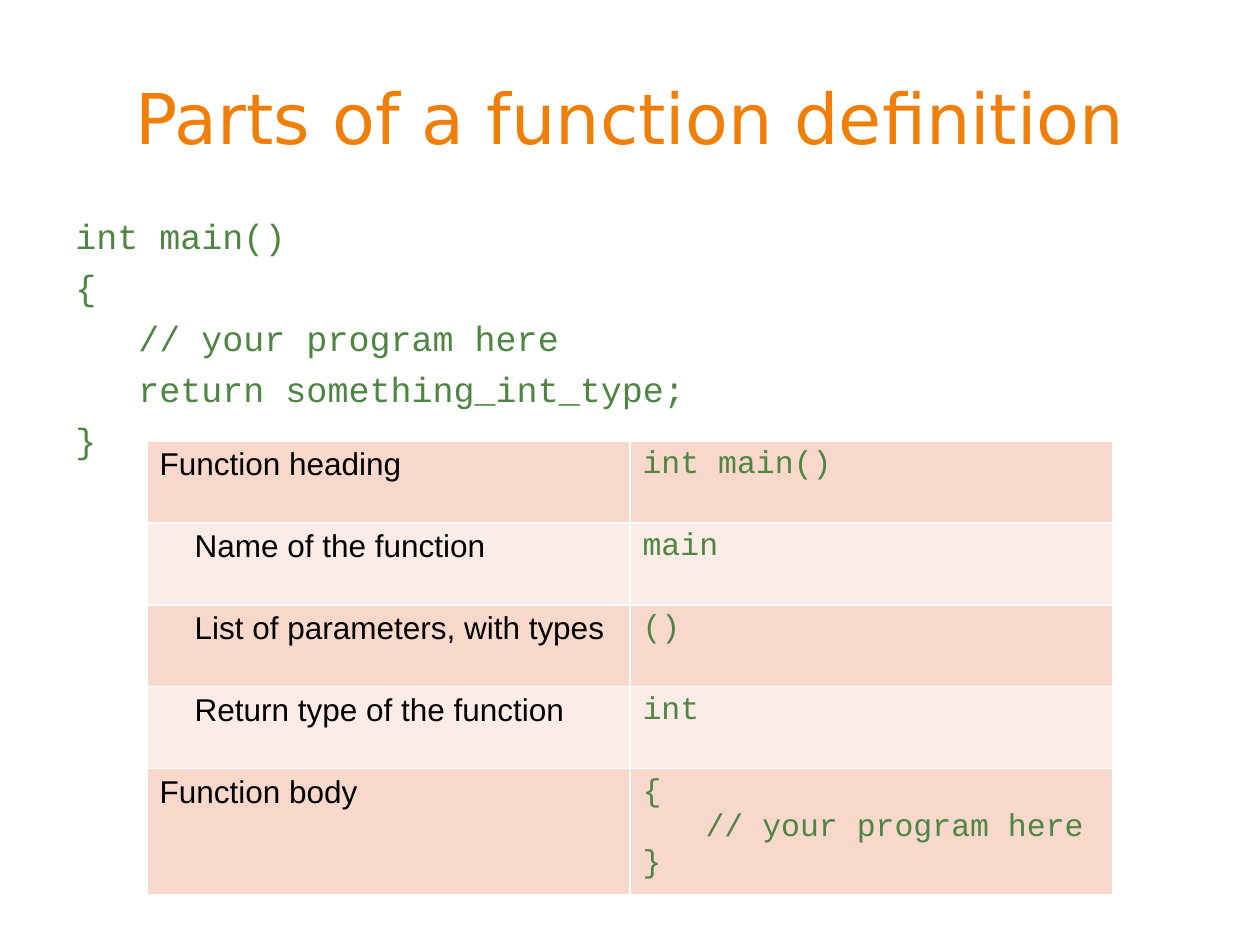
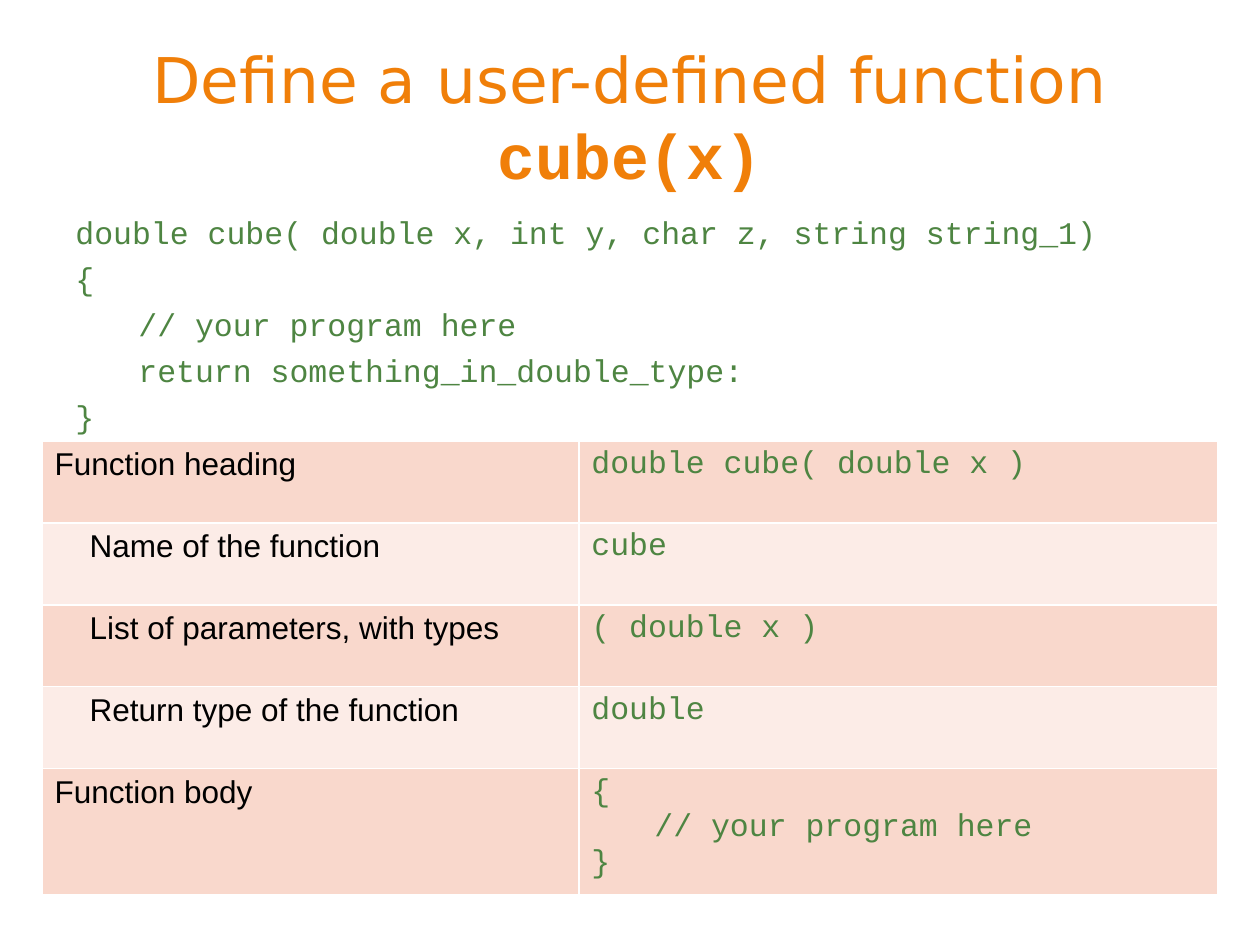
from lxml import etree
from pptx import Presentation
from pptx.dml.color import RGBColor
from pptx.enum import text
from pptx.oxml import ns
from pptx.util import Pt

# Shared look
ORANGE, GREEN, BLACK, WHITE = "F07F09", "4E8542", "000000", "FFFFFF"
BANDS = ("F9D8CC", "FCECE7")
TITLE_FONT, LABEL_FONT, CODE_FONT = "DejaVu Sans", "Arial", "Courier New"
MARGIN, CONTENT_WIDTH = 36, 648
CODE_TOP = 113.76
TABLE_TOP, ROW_HEIGHT, TABLE_SIZE = 252, 46.8, 18
CODE_INDENT, LABEL_INDENT = 36, 20
CODE_GAP = 0.26  # paragraph gap as a share of the text size

# Row labels with their indents
LABELS = [
    ("Function heading", 0),
    ("Name of the function", LABEL_INDENT),
    ("List of parameters, with types", LABEL_INDENT),
    ("Return type of the function", LABEL_INDENT),
    ("Function body", 0),
]
BODY_LINES = [("{", 0), ("// your program here", CODE_INDENT), ("}", 0)]


def color(hex_code):
    return RGBColor.from_string(hex_code)


def add_span(para, words, font, size, hex_code, bold=False):
    span = para.add_run()
    span.text = words
    span.font.name = font
    span.font.size = Pt(size)
    span.font.bold = bold
    span.font.color.rgb = color(hex_code)


def add_lines(frame, lines, font, size, hex_code, gap=0):
    """Write one paragraph per (words, indent) pair."""
    for index, (words, indent) in enumerate(lines):
        para = frame.add_paragraph() if index else frame.paragraphs[0]
        para.space_before = Pt(gap if index else 0)
        props = para._p.get_or_add_pPr()
        props.set("marL", str(Pt(indent)))
        props.set("indent", "0")
        add_span(para, words, font, size, hex_code)


def add_box(page, top, height):
    box = page.shapes.add_textbox(Pt(MARGIN), Pt(top), Pt(CONTENT_WIDTH), Pt(height))
    box.text_frame.word_wrap = True
    return box.text_frame


def add_title(page, size, words, code=None):
    frame = add_box(page, 21.6, 90)
    frame.vertical_anchor = text.MSO_ANCHOR.MIDDLE
    para = frame.paragraphs[0]
    para.alignment = text.PP_ALIGN.CENTER
    add_span(para, words, TITLE_FONT, size, ORANGE)
    if code:
        add_span(para, code, CODE_FONT, size, ORANGE, bold=True)


def add_code(page, size, heading, result):
    gap = CODE_GAP * size
    lines = [(heading, 0), *BODY_LINES[:2], (result, CODE_INDENT), BODY_LINES[2]]
    frame = add_box(page, CODE_TOP + gap, 130)
    add_lines(frame, lines, CODE_FONT, size, GREEN, gap)


def set_borders(cell):
    props = cell._tc.get_or_add_tcPr()
    for index, side in enumerate(("lnL", "lnR", "lnT", "lnB")):
        line = etree.Element(ns.qn(f"a:{side}"), w=str(Pt(1)))
        fill = etree.SubElement(line, ns.qn("a:solidFill"))
        etree.SubElement(fill, ns.qn("a:srgbClr"), val=WHITE)
        props.insert(index, line)


def add_parts_table(page, left, widths, codes):
    values = [[(code, 0)] for code in codes] + [BODY_LINES]
    table = page.shapes.add_table(
        len(LABELS), 2, Pt(left), Pt(TABLE_TOP), Pt(sum(widths)), Pt(ROW_HEIGHT * len(LABELS))
    ).table
    table.first_row = table.horz_banding = False
    for column, width in zip(table.columns, widths):
        column.width = Pt(width)
    for index, (label, value) in enumerate(zip(LABELS, values)):
        table.rows[index].height = Pt(ROW_HEIGHT)
        name_cell, code_cell = table.cell(index, 0), table.cell(index, 1)
        add_lines(name_cell.text_frame, [label], LABEL_FONT, TABLE_SIZE, BLACK)
        add_lines(code_cell.text_frame, value, CODE_FONT, TABLE_SIZE, GREEN)
        for cell in (name_cell, code_cell):
            cell.fill.solid()
            cell.fill.fore_color.rgb = color(BANDS[index % 2])
            set_borders(cell)


def add_page(deck):
    page = deck.slides.add_slide(deck.slide_layouts[6])
    page.background.fill.solid()
    page.background.fill.fore_color.rgb = color(WHITE)
    return page


def main():
    deck = Presentation()
    deck.slide_width, deck.slide_height = Pt(720), Pt(540)

    # Parts of main()
    page = add_page(deck)
    add_title(page, 40, "Parts of a function definition")
    add_code(page, 20, "int main()", "return something_int_type;")
    add_parts_table(page, 84, (276, 276), ["int main()", "main", "()", "int"])

    # Parts of cube(x)
    page = add_page(deck)
    add_title(page, 36, "Define a user-defined function ", "cube(x)")
    add_code(
        page, 18,
        "double cube( double x, int y, char z, string string_1)",
        "return something_in_double_type:",
    )
    add_parts_table(
        page, 24, (306.72, 365.04),
        ["double cube( double x )", "cube", "( double x )", "double"],
    )

    deck.save("out.pptx")


if __name__ == "__main__":
    main()
